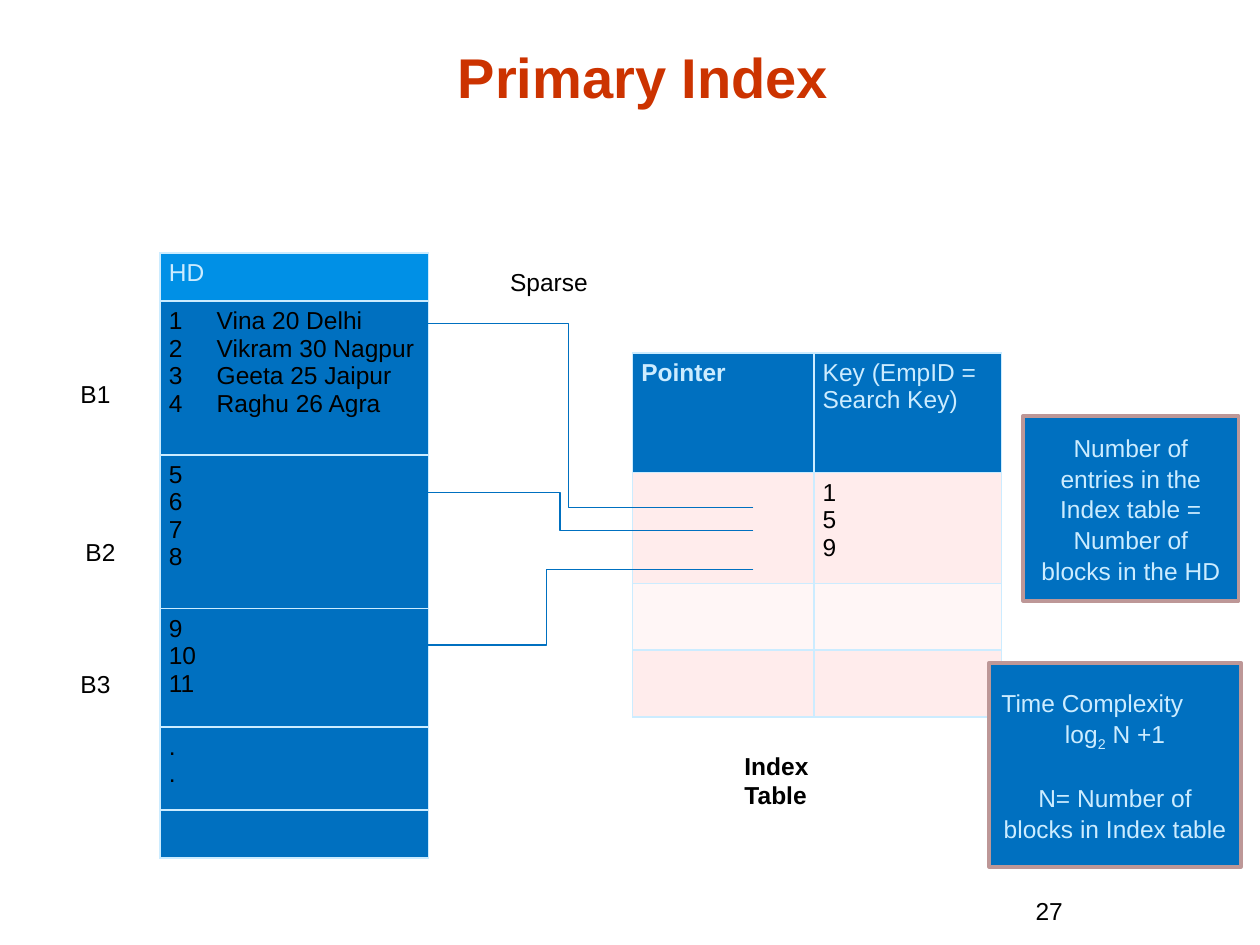
"""Build the Primary Index slide: disk blocks, index table and notes."""
from dataclasses import dataclass
from lxml.etree import SubElement
from pptx import Presentation
from pptx.dml.color import RGBColor
from pptx.enum.shapes import MSO_CONNECTOR, MSO_SHAPE
from pptx.enum.text import MSO_ANCHOR, PP_ALIGN
from pptx.oxml.ns import qn
from pptx.util import Inches, Pt


@dataclass(frozen=True)
class Theme:
    face: str = "Arial"
    head: int = 32
    body: int = 14
    red: str = "CC3300"
    ink: str = "000000"
    pale: str = "CCECFF"
    blue: str = "0070C0"
    sky: str = "0090E6"
    pink: str = "FFECEC"
    blush: str = "FFF6F6"
    edge: str = "BD9797"


T = Theme()
TITLE = "Primary Index"
PEOPLE = ["Vina 20 Delhi", "Vikram 30 Nagpur", "Geeta 25 Jaipur", "Raghu 26 Agra"]
DISK = [
    (0.38, T.sky, T.pale, ["HD"]),
    (1.22, T.blue, T.ink, ["\n".join(PEOPLE)]),
    (1.22, T.blue, T.ink, ["5\n6\n7\n8"]),
    (0.94, T.blue, T.ink, ["9\n10\n11"]),
    (0.66, T.blue, T.ink, [".\n."]),
    (0.38, T.blue, T.ink, [""]),
]
INDEX = [
    (0.95, T.blue, T.pale, ["Pointer", "Key (EmpID = Search Key)"]),
    (0.88, T.pink, T.ink, ["", "1\n5\n9"]),
    (0.53, T.blush, T.ink, ["", ""]),
    (0.53, T.pink, T.ink, ["", ""]),
]
LABELS = [
    ("Sparse", 3.95, 2.07, 0.95, 0.34, False),
    ("B1", 0.54, 2.96, 0.51, 0.34, False),
    ("B2", 0.58, 4.21, 0.5, 0.34, False),
    ("B3", 0.54, 5.26, 0.55, 0.34, False),
    ("Index Table", 5.81, 5.91, 1.05, 0.57, True),
    ("27", 8.12, 7.06, 1.08, 0.4, False),
]
START = 5.98
LINKS = [(4.03, 3.04, 2.57), (4.21, 2.91, 3.91), (4.52, 2.7, 5.12)]
COUNT = "Number of entries in the Index table = Number of blocks in the HD"
COST = "Time Complexity\nlog2 N +1\nN= Number of blocks in Index table"


def rgb(code):
    return RGBColor.from_string(code)


def style(frame, color, size=T.body, bold=False):
    for para in frame.paragraphs:
        for run in para.runs:
            font = run.font
            font.name, font.size, font.bold = T.face, Pt(size), bold
            font.color.rgb = rgb(color)


def border(cell):
    props = cell._tc.get_or_add_tcPr()
    for i, side in enumerate(("lnL", "lnR", "lnT", "lnB")):
        line = props.makeelement(qn(f"a:{side}"), {"w": str(Pt(1))})
        fill = SubElement(line, qn("a:solidFill"))
        SubElement(fill, qn("a:srgbClr"), val=T.pale)
        props.insert(i, line)


def grid(slide, left, top, widths, rows):
    high = sum(row[0] for row in rows)
    table = slide.shapes.add_table(
        len(rows), len(widths), Inches(left), Inches(top),
        Inches(sum(widths)), Inches(high)).table
    table.horz_banding = False
    for col, width in zip(table.columns, widths):
        col.width = Inches(width)
    for r, (height, fill, color, texts) in enumerate(rows):
        table.rows[r].height = Inches(height)
        for c, text in enumerate(texts):
            cell = table.cell(r, c)
            cell.margin_left = cell.margin_right = Inches(0.07)
            cell.fill.solid()
            cell.fill.fore_color.rgb = rgb(fill)
            border(cell)
            cell.text_frame.text = text
            style(cell.text_frame, color, bold=text == "Pointer")
            if not text:
                end = cell.text_frame.paragraphs[0]._p.get_or_add_endParaRPr()
                end.set("sz", str(T.body * 100))
    return table


def number(frame):
    for para in frame.paragraphs:
        props = para._p.get_or_add_pPr()
        props.set("marL", str(Inches(0.38)))
        props.set("indent", str(-Inches(0.38)))
        tint = SubElement(props, qn("a:buClr"))
        SubElement(tint, qn("a:srgbClr"), val=T.ink)
        SubElement(props, qn("a:buFont"), typeface=T.face)
        SubElement(props, qn("a:buAutoNum"), type="arabicPlain")


def label(slide, text, left, top, width, height, bold):
    box = slide.shapes.add_textbox(
        Inches(left), Inches(top), Inches(width), Inches(height))
    box.text_frame.word_wrap = True
    box.text_frame.text = text
    style(box.text_frame, T.ink, bold=bold)


def link(slide, y, end, level):
    wire = slide.shapes.add_connector(
        MSO_CONNECTOR.ELBOW, Inches(START), Inches(y), Inches(end), Inches(level))
    wire.line.color.rgb = rgb(T.blue)
    wire.line.width = Pt(0.75)
    SubElement(wire.line._get_or_add_ln(), qn("a:tailEnd"), type="triangle")
    SubElement(wire._element.spPr, qn("a:effectLst"))


def note(slide, text, left, top, width, height):
    box = slide.shapes.add_shape(
        MSO_SHAPE.RECTANGLE, Inches(left), Inches(top), Inches(width), Inches(height))
    box.shadow.inherit = False
    box.fill.solid()
    box.fill.fore_color.rgb = rgb(T.blue)
    box.line.color.rgb = rgb(T.edge)
    box.line.width = Pt(2)
    frame = box.text_frame
    frame.word_wrap = True
    frame.vertical_anchor = MSO_ANCHOR.MIDDLE
    frame.text = text
    for para in frame.paragraphs:
        para.alignment = PP_ALIGN.CENTER
        para.line_spacing = 1.05
    style(frame, T.pale)
    return frame


def main():
    deck = Presentation()
    deck.slide_width, deck.slide_height = Inches(10), Inches(7.5)
    slide = deck.slides.add_slide(deck.slide_layouts[5])

    title = slide.shapes.title
    title.left, title.top = Inches(0.69), Inches(0.25)
    title.width, title.height = Inches(8.83), Inches(0.67)
    title.text_frame.text = TITLE
    title.text_frame.vertical_anchor = MSO_ANCHOR.BOTTOM
    title.text_frame.paragraphs[0].alignment = PP_ALIGN.CENTER
    style(title.text_frame, T.red, T.head, True)

    disk = grid(slide, 1.27, 2.01, [2.13], DISK)
    number(disk.cell(1, 0).text_frame)
    grid(slide, 5.02, 2.8, [1.44, 1.49], INDEX)
    for item in LABELS:
        label(slide, *item)
    for item in LINKS:
        link(slide, *item)

    note(slide, COUNT, 8.12, 3.3, 1.71, 1.47)
    first, power, last = note(slide, COST, 7.85, 5.26, 2, 1.62).paragraphs
    first.alignment = PP_ALIGN.LEFT
    last.space_before = Pt(17)
    power.runs[0].text = "log"
    for text in ("2", " N +1"):
        power.add_run().text = text
    style(slide.shapes[-1].text_frame, T.pale)
    power.runs[1].font._element.set("baseline", "-25000")
    deck.save("out.pptx")


if __name__ == "__main__":
    main()
